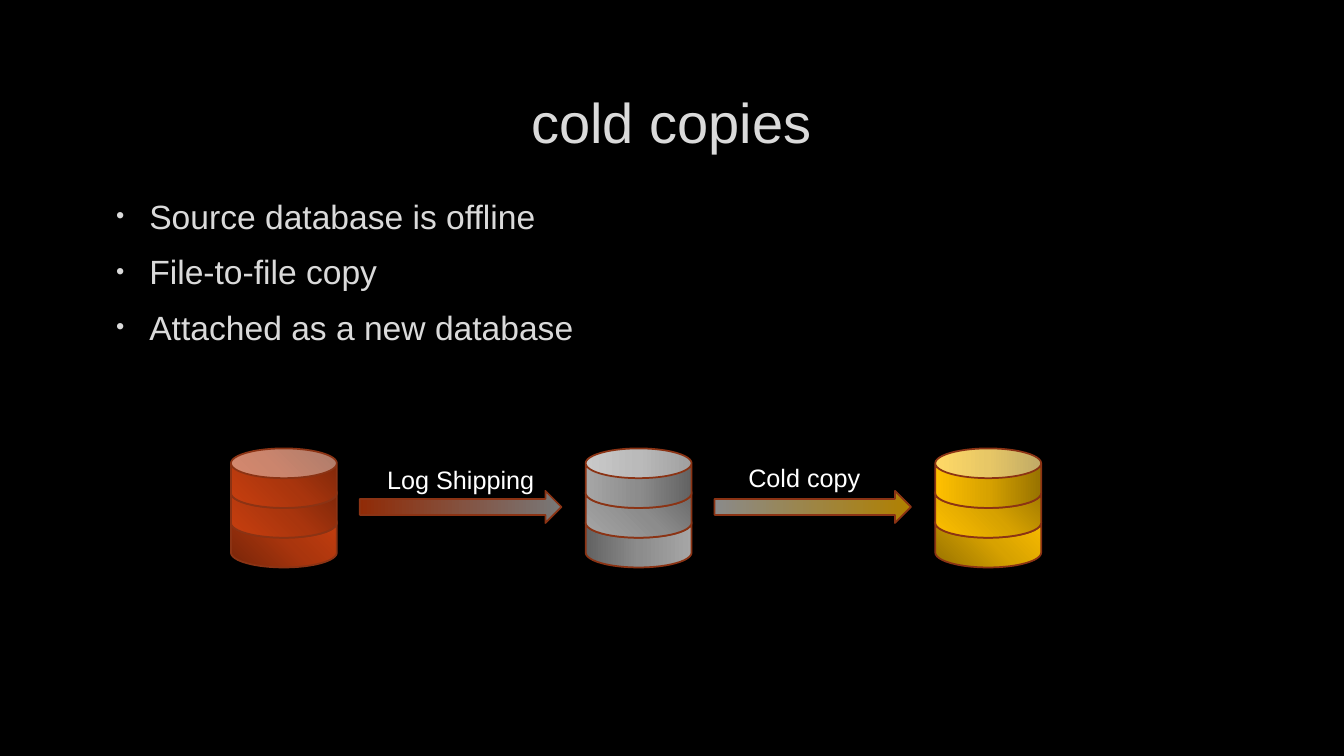
from lxml import etree
from pptx import Presentation
from pptx.dml.color import RGBColor
from pptx.enum.shapes import MSO_SHAPE
from pptx.enum.text import MSO_ANCHOR, MSO_AUTO_SIZE, PP_ALIGN
from pptx.oxml.ns import qn
from pptx.util import Cm, Pt

CAN, ARROW = MSO_SHAPE.CAN, MSO_SHAPE.RIGHT_ARROW
CENTER, MIDDLE, TOP = PP_ALIGN.CENTER, MSO_ANCHOR.MIDDLE, MSO_ANCHOR.TOP
NO_FIT, GROW = MSO_AUTO_SIZE.NONE, MSO_AUTO_SIZE.SHAPE_TO_FIT_TEXT

COLORS = {"background": "000000", "text": "DADADA", "label": "FFFFFF",
          "outline": "404040", "border": "8B3314"}
GRADIENTS = {
    "source": ["772509", "A9350D", "C83F0F"],
    "standby": ["626262", "8C8C8C", "A6A6A6"],
    "copy": ["977200", "D7A200", "FFC000"],
    "shipping": ["902B07", "787878"],
    "copying": ["8A8A8A", "B08000"],
}
BULLETS = ["Source database is offline", "File-to-file copy", "Attached as a new database"]
DATABASES = [("source", 5.82, [315, 135, 135]),
             ("copy", 23.57, [315, 135, 180]),
             ("standby", 14.76, [0, 135, 180])]
ARROWS = [("shipping", 9.07, 5.08), ("copying", 18.01, 4.95)]
LABELS = [("Log Shipping", 9.35, 11.58), ("Cold copy", 18.01, 11.53)]
DISK_TOP, DISK_STEP, DISK_WIDTH, DISK_HEIGHT = 11.3, 0.75, 2.67, 1.5


def rgb(name):
    """Return the named colour."""
    return RGBColor.from_string(COLORS[name])


def add_xml(parent, tag, **attrs):
    """Append a DrawingML child element and return it."""
    return etree.SubElement(parent, qn(tag), attrs)


def place(sp, left, top, width, height):
    """Move and size a placeholder, in centimetres."""
    box = {"left": left, "top": top, "width": width, "height": height}
    for name, value in box.items():
        setattr(sp, name, Cm(value))


def write(p, text, size, color):
    """Add one formatted run to a paragraph."""
    r = p.add_run()
    r.text = text
    for name, value in {"name": "Arial", "size": Pt(size)}.items():
        setattr(r.font, name, value)
    r.font.color.rgb = rgb(color)
    return r


def outline(r):
    """Give a run a faint, mostly transparent outline."""
    ln = etree.Element(qn("a:ln"), w=str(Pt(0.75)))
    clr = add_xml(add_xml(ln, "a:solidFill"), "a:srgbClr", val=COLORS["outline"])
    add_xml(clr, "a:alpha", val="10000")
    r.font._element.insert(0, ln)


def bullet(p):
    """Set the hanging indent, spacing and bullet of a list item."""
    p.space_after = Pt(6)
    pPr = p._p.get_or_add_pPr()
    pPr.set("marL", str(Cm(0.97)))
    pPr.set("indent", str(Cm(-0.84)))
    add_xml(add_xml(pPr, "a:buClr"), "a:srgbClr", val=COLORS["text"])
    add_xml(pPr, "a:buSzPct", val="70000")
    add_xml(pPr, "a:buFont", typeface="Arial")
    add_xml(pPr, "a:buChar", char="•")


def add_title(s, text):
    """Fill the title placeholder."""
    sp = s.shapes.title
    place(sp, 2.54, 1.7, 28.75, 2.69)
    tf = sp.text_frame
    for name, value in {"vertical_anchor": MIDDLE, "auto_size": NO_FIT}.items():
        setattr(tf, name, value)
    p = tf.paragraphs[0]
    p.alignment = CENTER
    outline(write(p, text, 40, "text"))


def add_list(s, items):
    """Fill the body placeholder with a bulleted list."""
    sp = s.placeholders[1]
    place(sp, 2.54, 4.8, 28.75, 4.65)
    tf = sp.text_frame
    for name, value in {"vertical_anchor": TOP, "auto_size": NO_FIT}.items():
        setattr(tf, name, value)
    for i, item in enumerate(items):
        p = tf.add_paragraph() if i else tf.paragraphs[0]
        bullet(p)
        outline(write(p, item, 24, "text"))


def add_gradient_shape(s, kind, box, gradient, angle=0):
    """Add a bordered shape with evenly spaced gradient stops."""
    sp = s.shapes.add_shape(kind, *map(Cm, box))
    sp.shadow.inherit = False
    sp.line.color.rgb = rgb("border")
    sp.line.width = Pt(1.25)
    sp.fill.gradient()
    sp.fill.gradient_angle = -angle % 360
    stops = sp._element.spPr.find(qn("a:gradFill")).find(qn("a:gsLst"))
    stops.clear()
    colors = GRADIENTS[gradient]
    for i, color in enumerate(colors):
        gs = add_xml(stops, "a:gs", pos=str(i * 100000 // (len(colors) - 1)))
        add_xml(gs, "a:srgbClr", val=color)
    return sp


def add_database(s, gradient, left, angles):
    """Stack disks from the bottom up into a database symbol."""
    for i, angle in enumerate(angles):
        top = DISK_TOP + DISK_STEP * (len(angles) - 1 - i)
        box = (left, top, DISK_WIDTH, DISK_HEIGHT)
        sp = add_gradient_shape(s, CAN, box, gradient, angle)
        sp.adjustments[0] = 0.5


def add_label(s, text, left, top):
    """Add a centred caption above an arrow."""
    tf = s.shapes.add_textbox(Cm(left), Cm(top), Cm(4.52), Cm(1.02)).text_frame
    for name, value in {"word_wrap": True, "auto_size": GROW}.items():
        setattr(tf, name, value)
    p = tf.paragraphs[0]
    p.alignment = CENTER
    write(p, text, 18, "label")


def main():
    """Build and save the slide."""
    prs = Presentation()
    prs.slide_width, prs.slide_height = Cm(33.87), Cm(19.05)
    s = prs.slides.add_slide(prs.slide_layouts[1])
    s.background.fill.solid()
    s.background.fill.fore_color.rgb = rgb("background")
    add_title(s, "cold copies")
    add_list(s, BULLETS)
    for database in DATABASES:
        add_database(s, *database)
    for gradient, left, width in ARROWS:
        add_gradient_shape(s, ARROW, (left, 12.37, width, 0.81), gradient)
    for label in LABELS:
        add_label(s, *label)
    prs.save("out.pptx")


if __name__ == "__main__":
    main()
